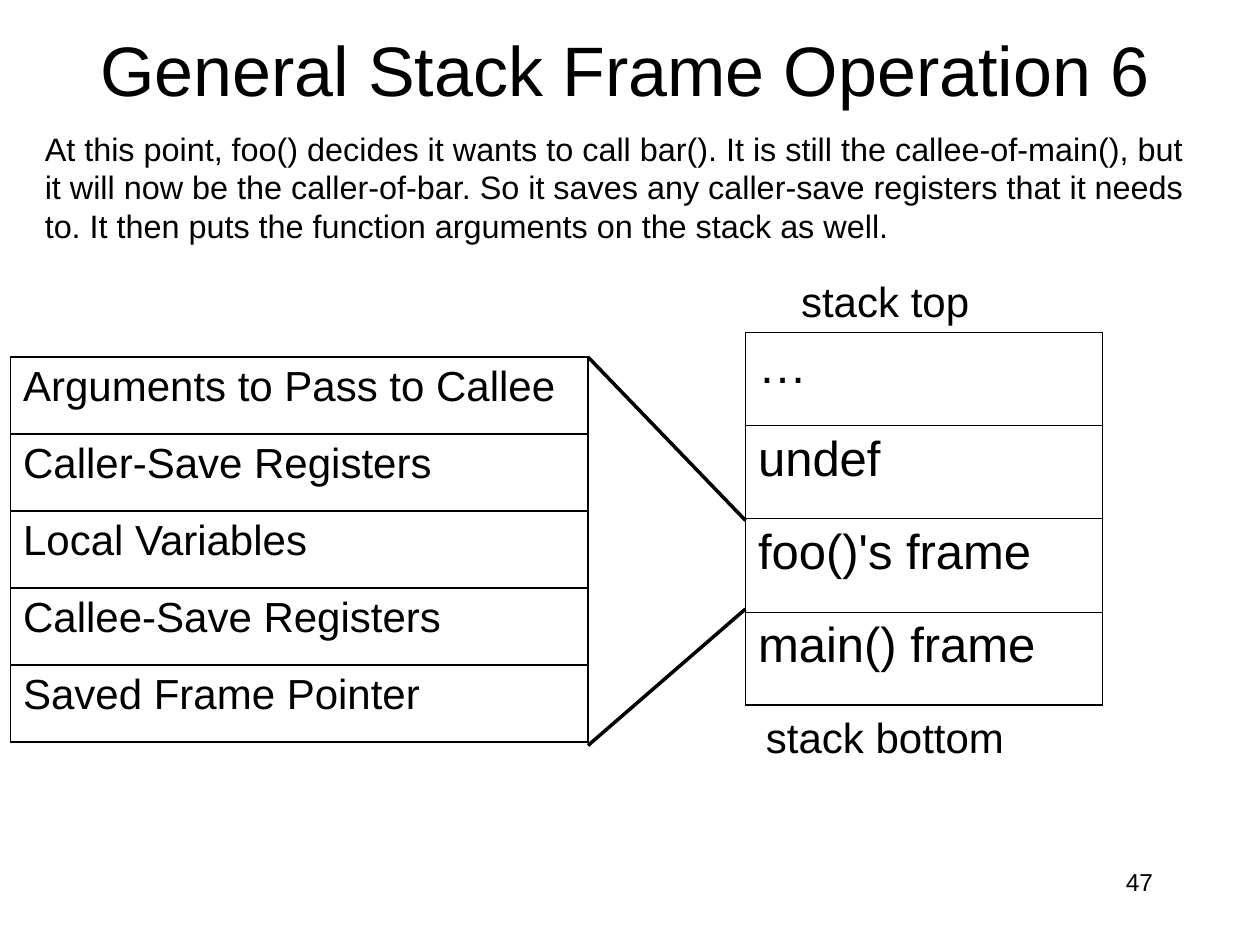
from collections import namedtuple
from dataclasses import dataclass

from lxml.etree import SubElement
from pptx import Presentation
from pptx.dml.color import RGBColor
from pptx.enum.shapes import MSO_CONNECTOR
from pptx.enum.text import MSO_ANCHOR, MSO_AUTO_SIZE, PP_ALIGN
from pptx.oxml.ns import qn
from pptx.util import Pt

Box = namedtuple("Box", "left top width height")


@dataclass(frozen=True)
class Theme:
    font: str = "Arial"
    ink: RGBColor = RGBColor(0, 0, 0)
    title: float = 40
    body: float = 18.5
    label: float = 24
    stack: float = 28
    number: float = 14
    link: float = 2
    outline: float = 1.08
    rule: float = 0.45


THEME = Theme()


def place(s, box):
    s.left, s.top, s.width, s.height = (Pt(v) for v in box)


def style(tf, size, align=PP_ALIGN.LEFT):
    for p in tf.paragraphs:
        p.alignment = align
        for r in p.runs:
            r.font.name = THEME.font
            r.font.size = Pt(size)
            r.font.color.rgb = THEME.ink


def add_title(slide, box, text):
    s = slide.shapes.title
    place(s, box)
    tf = s.text_frame
    tf.text = text
    tf.vertical_anchor = MSO_ANCHOR.MIDDLE
    tf.auto_size = MSO_AUTO_SIZE.NONE
    style(tf, THEME.title, PP_ALIGN.CENTER)


def add_text(slide, box, text, size, align=PP_ALIGN.LEFT, wrap=True):
    tf = slide.shapes.add_textbox(*(Pt(v) for v in box)).text_frame
    tf.text = text
    tf.word_wrap = wrap
    if not wrap:
        tf.auto_size = MSO_AUTO_SIZE.SHAPE_TO_FIT_TEXT
    style(tf, size, align)


def set_border(cell, widths):
    """Draw the left, right, top and bottom lines, in that order."""
    props = cell._tc.get_or_add_tcPr()
    for i, (side, width) in enumerate(zip("LRTB", widths)):
        ln = props.makeelement(qn(f"a:ln{side}"), {"w": str(int(Pt(width)))})
        fill = SubElement(ln, qn("a:solidFill"))
        SubElement(fill, qn("a:srgbClr"), val=str(THEME.ink))
        props.insert(i, ln)


def add_stack(slide, box, labels, size, rule):
    """One-column table; rule is the width of the lines between rows."""
    s = slide.shapes.add_table(len(labels), 1, *(Pt(v) for v in box))
    table = s.table
    table.first_row = table.horz_banding = False
    last = len(labels) - 1
    for i, label in enumerate(labels):
        table.rows[i].height = Pt(box.height / len(labels))
        cell = table.cell(i, 0)
        cell.text = label
        cell.fill.background()
        style(cell.text_frame, size)
        edge = THEME.outline
        set_border(cell, (edge, edge,
                          rule if i else edge,
                          rule if i < last else edge))


def add_link(slide, start, end):
    s = slide.shapes.add_connector(
        MSO_CONNECTOR.STRAIGHT, *(Pt(v) for v in (*start, *end)))
    s.line.color.rgb = THEME.ink
    s.line.width = Pt(THEME.link)
    SubElement(s._element.spPr, qn("a:effectLst"))


def add_diagram(slide, box):
    """The foo() frame in detail at left, the whole stack at right."""
    x, y = box.left, box.top
    detail = Box(x, y + 50, 330, 220)
    stack = Box(x + 420, y + 36, 204, 213)

    # Zoom lines from the foo() row to the detail
    add_link(slide, (detail.left + detail.width, detail.top),
             (stack.left, y + 143.4))
    add_link(slide, (detail.left + detail.width, y + 272),
             (stack.left, y + 194))

    # Frame contents and stack
    add_stack(slide, detail, [
        "Arguments to Pass to Callee", "Caller-Save Registers",
        "Local Variables", "Callee-Save Registers", "Saved Frame Pointer",
    ], THEME.label, THEME.outline)
    add_stack(slide, stack, ["…", "undef", "foo()'s frame", "main() frame"],
              THEME.stack, THEME.rule)

    # Stack end labels, with a little spare width to stay on one line
    add_text(slide, Box(x + 444.7, y, 114, 36), "stack top",
             THEME.label, wrap=False)
    add_text(slide, Box(x + 424.6, y + 249, 154, 36), "stack bottom",
             THEME.label, wrap=False)


def main():
    prs = Presentation()
    prs.slide_width, prs.slide_height = Pt(720), Pt(540)
    slide = prs.slides.add_slide(prs.slide_layouts[5])

    # Title and explanation
    add_title(slide, Box(36, -6, 642, 90), "General Stack Frame Operation 6")
    add_text(
        slide, Box(18.5, 70, 675, 93.5),
        "At this point, foo() decides it wants to call bar(). It is still the "
        "callee-of-main(), but it will now be the caller-of-bar. So it saves "
        "any caller-save registers that it needs to. It then puts the "
        "function arguments on the stack as well.", THEME.body)

    add_diagram(slide, Box(6, 154, 624, 286))

    # Page number
    add_text(slide, Box(516, 492, 150, 36), "47", THEME.number, PP_ALIGN.RIGHT)
    prs.save("out.pptx")


if __name__ == "__main__":
    main()
